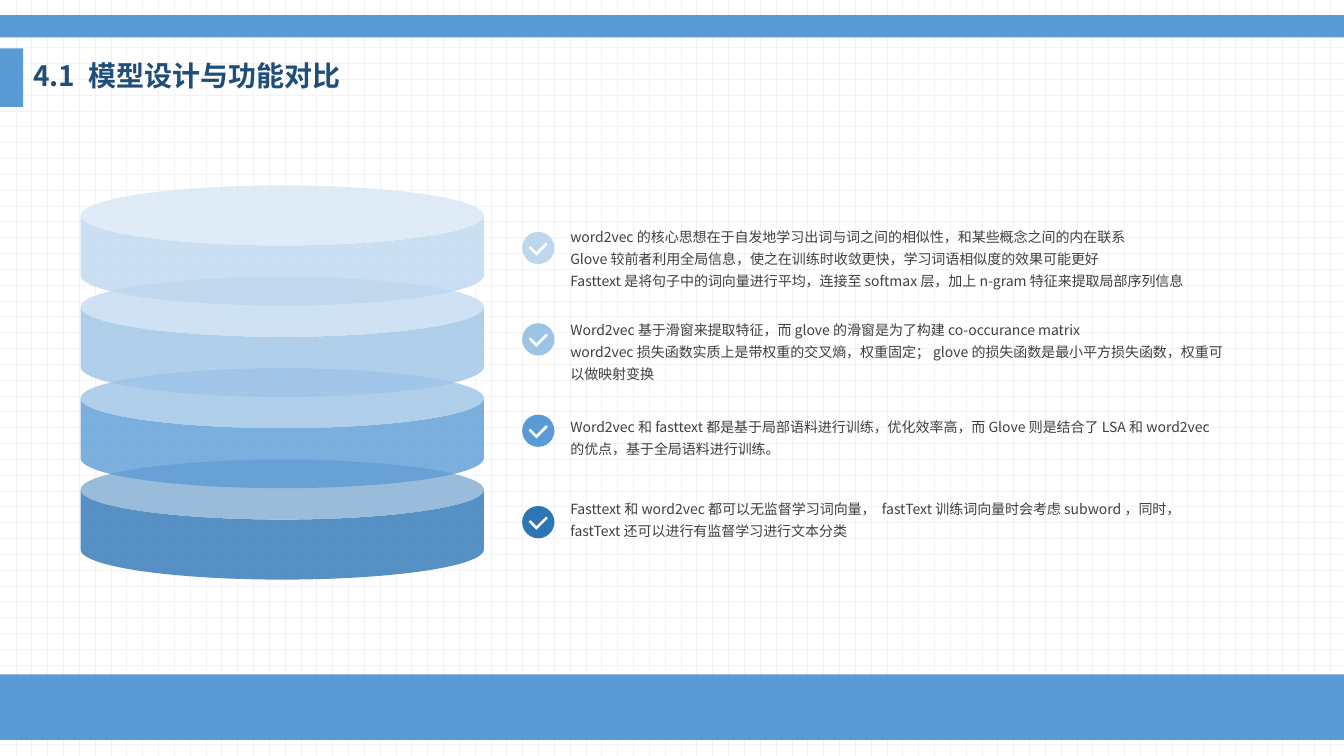
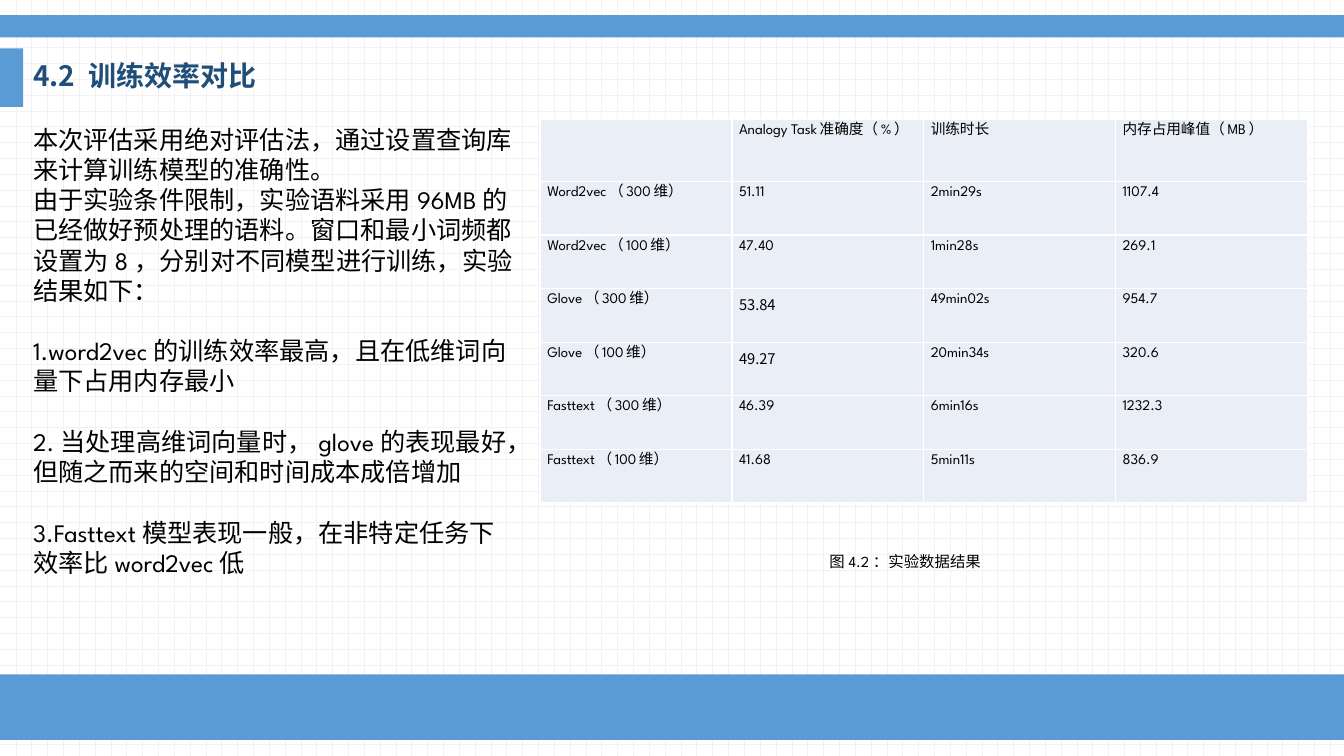
from dataclasses import dataclass
from itertools import product

from lxml import etree
from pptx import Presentation
from pptx.dml.color import RGBColor
from pptx.enum.dml import MSO_PATTERN
from pptx.enum.shapes import MSO_SHAPE
from pptx.enum.text import MSO_ANCHOR, PP_ALIGN
from pptx.oxml.ns import qn
from pptx.util import Emu, Inches, Pt

# Shared look; the grid has square cells of a tenth of an inch
CELL = Inches(0.1)
WIDTH, HEIGHT = 133.33, 75
SANS, SPARTAN = "Noto Sans CJK SC", "League Spartan"
BLUE, NAVY, GREY, BLACK, WHITE = "5B9BD5", "1F4E79", "404040", "000000", "FFFFFF"
PALE, DOTS = "EAEFF7", "F2F2F2"


@dataclass(frozen=True)
class Box:
    col: float
    row: float
    cols: float
    rows: float

    def emu(self) -> list[Emu]:
        return [grid(n) for n in (self.col, self.row, self.cols, self.rows)]


@dataclass(frozen=True)
class Style:
    size: float
    font: str
    color: str
    bold: bool = False
    spacing: float = 1.0
    gap: float = 0
    align: PP_ALIGN = PP_ALIGN.LEFT


@dataclass(frozen=True)
class Layer:
    color: str
    text_row: float
    lines: tuple[str, ...]


BANDS = (Box(0, 66.9, WIDTH, 6.5), Box(0, 1.5, WIDTH, 2.2), Box(0, 4.8, 2.3, 5.8))
TITLE = Style(20, SANS, NAVY, bold=True, spacing=0.9)
NOTE = Style(10, SANS, GREY, spacing=1.3)
BODY = Style(18, SPARTAN, BLACK)
CAPTION = Style(11, SPARTAN, BLACK)
TABLE = Style(10.5, SPARTAN, BLACK, align=PP_ALIGN.JUSTIFY)
TABLE_SANS = Style(10.5, SANS, BLACK, align=PP_ALIGN.JUSTIFY)

LAYERS = (
    Layer("BDD7EE", 21.7, (
        "word2vec的核心思想在于自发地学习出词与词之间的相似性，和某些概念之间的内在联系",
        "Glove较前者利用全局信息，使之在训练时收敛更快，学习词语相似度的效果可能更好",
        "Fasttext是将句子中的词向量进行平均，连接至softmax层，加上n-gram特征来提取局部序列信息")),
    Layer("9DC3E6", 30.9, (
        "Word2vec基于滑窗来提取特征，而glove的滑窗是为了构建co-occurance matrix",
        "word2vec损失函数实质上是带权重的交叉熵，权重固定；glove的损失函数是最小平方损失函数，权重可以做映射变换")),
    Layer(BLUE, 40.5, (
        "Word2vec和fasttext都是基于局部语料进行训练，优化效率高，而Glove则是结合了LSA和word2vec的优点，基于全局语料进行训练。",)),
    Layer("2E75B6", 48.7, (
        "Fasttext和word2vec都可以无监督学习词向量， fastText训练词向量时会考虑subword，同时，fastText还可以进行有监督学习进行文本分类",)),
)

INTRO = (
    "本次评估采用绝对评估法，通过设置查询库来计算训练模型的准确性。",
    "由于实验条件限制，实验语料采用96MB的已经做好预处理的语料。窗口和最小词频都设置为8，分别对不同模型进行训练，实验结果如下：",
)
FINDINGS = (
    "1.word2vec的训练效率最高，且在低维词向量下占用内存最小",
    "2.当处理高维词向量时，glove的表现最好，但随之而来的空间和时间成本成倍增加",
    "3.Fasttext模型表现一般，在非特定任务下效率比word2vec低",
)
RESULTS = (
    ("", "Analogy Task准确度（%）", "训练时长", "内存占用峰值（MB）"),
    ("Word2vec（300维）", "51.11", "2min29s", "1107.4"),
    ("Word2vec（100维）", "47.40", "1min28s", "269.1"),
    ("Glove（300维）", "53.84", "49min02s", "954.7"),
    ("Glove（100维）", "49.27", "20min34s", "320.6"),
    ("Fasttext（300维）", "46.39", "6min16s", "1232.3"),
    ("Fasttext（100维）", "41.68", "5min11s", "836.9"),
)
SANS_CELLS = {"53.84", "49.27"}


def grid(n: float) -> Emu:
    return Emu(round(n * CELL))


def rgb(color: str) -> RGBColor:
    return RGBColor.from_string(color)


def add_shape(shapes, kind: MSO_SHAPE, box: Box, color: str, alpha: int = 100):
    sp = shapes.add_shape(kind, *box.emu())
    sp.shadow.inherit = False
    sp.fill.solid()
    sp.fill.fore_color.rgb = rgb(color)
    sp.line.fill.background()
    if alpha < 100:
        clr = sp.fill._xPr.find(f"{qn('a:solidFill')}/{qn('a:srgbClr')}")
        etree.SubElement(clr, qn("a:alpha"), val=str(alpha * 1000))
    return sp


def write(p, text: str, style: Style) -> None:
    p.alignment = style.align
    p.line_spacing = style.spacing
    if style.gap:
        p.space_before = Pt(style.gap)
    r = p.add_run()
    r.text = text
    r.font.size, r.font.bold, r.font.name = Pt(style.size), style.bold, style.font
    r.font.color.rgb = rgb(style.color)
    # East Asian glyphs follow the same font name
    etree.SubElement(r.font._element, qn("a:ea"), typeface=style.font)


def add_text(slide, box: Box, paragraphs: list[tuple[str, Style]],
             anchor: MSO_ANCHOR = MSO_ANCHOR.TOP) -> None:
    tf = slide.shapes.add_textbox(*box.emu()).text_frame
    tf.word_wrap = True
    tf.vertical_anchor = anchor
    for i, (text, style) in enumerate(paragraphs):
        write(tf.add_paragraph() if i else tf.paragraphs[0], text, style)


def add_slide(prs, title: str):
    slide = prs.slides.add_slide(prs.slide_layouts[6])
    fill = slide.background.fill
    fill.patterned()
    fill.pattern = MSO_PATTERN.DOTTED_GRID
    fill.fore_color.rgb, fill.back_color.rgb = rgb(DOTS), rgb(WHITE)
    for band in BANDS:
        add_shape(slide.shapes, MSO_SHAPE.RECTANGLE, band, BLUE)
    add_text(slide, Box(2.3, 4.8, 53.2, 5.8), [(title, TITLE)], MSO_ANCHOR.MIDDLE)
    return slide


def add_check(slide, row: float, color: str) -> None:
    group = slide.shapes.add_group_shape()
    add_shape(group.shapes, MSO_SHAPE.OVAL, Box(51.8, row, 3.2, 3.2), color)
    tick = add_shape(group.shapes, MSO_SHAPE.CORNER, Box(52.6, row + 0.85, 1.6, 1.1), WHITE)
    tick.adjustments[0] = tick.adjustments[1] = 0.23
    tick.rotation = 315


def border_cell(cell, color: str) -> None:
    tc_pr = cell._tc.get_or_add_tcPr()
    for i, side in enumerate(("lnL", "lnR", "lnT", "lnB")):
        ln = etree.Element(qn(f"a:{side}"), w=str(int(Pt(1))))
        solid = etree.SubElement(ln, qn("a:solidFill"))
        etree.SubElement(solid, qn("a:srgbClr"), val=color)
        tc_pr.insert(i, ln)


def add_results(slide, box: Box, header_rows: float) -> None:
    n_rows, n_cols = len(RESULTS), len(RESULTS[0])
    table = slide.shapes.add_table(n_rows, n_cols, *box.emu()).table
    table.first_row = table.horz_banding = False
    for column in table.columns:
        column.width = grid(box.cols / n_cols)
    for i, row in enumerate(table.rows):
        row.height = grid((box.rows - header_rows) / (n_rows - 1) if i else header_rows)
    for i, j in product(range(n_rows), range(n_cols)):
        cell, text = table.cell(i, j), RESULTS[i][j]
        cell.fill.solid()
        cell.fill.fore_color.rgb = rgb(PALE)
        cell.margin_left = cell.margin_right = grid(0.7)
        cell.margin_top = cell.margin_bottom = grid(0.5)
        border_cell(cell, WHITE)
        if text:
            write(cell.text_frame.paragraphs[0], text,
                  TABLE_SANS if text in SANS_CELLS else TABLE)


def build_design(prs) -> None:
    slide = add_slide(prs, "4.1 模型设计与功能对比")
    pitch = 27.2 / (len(LAYERS) - 1)
    # Stacked discs, lowest first
    for i, layer in reversed(list(enumerate(LAYERS))):
        can = add_shape(slide.shapes, MSO_SHAPE.CAN,
                        Box(8, 18.4 + i * pitch, 40, 11.9), layer.color, alpha=80)
        can.adjustments[0] = 0.5
    # Checked notes
    for i, layer in enumerate(LAYERS):
        add_text(slide, Box(55.6, layer.text_row, 66.7, 7.4),
                 [(line, NOTE) for line in layer.lines])
        add_check(slide, 23 + i * pitch, layer.color)


def build_efficiency(prs) -> None:
    slide = add_slide(prs, "4.2 训练效率对比")
    spaced = Style(BODY.size, BODY.font, BODY.color, gap=21.6)
    add_text(slide, Box(2.3, 11.8, 49.7, 46.4),
             [(t, BODY) for t in INTRO] + [(t, spaced) for t in FINDINGS])
    add_results(slide, Box(53.6, 11.8, 76.1, 38.1), header_rows=6.2)
    add_text(slide, Box(81.3, 54.3, 31.7, 2.9), [("图4.2：实验数据结果", CAPTION)])


def main() -> None:
    prs = Presentation()
    prs.slide_width, prs.slide_height = grid(WIDTH), grid(HEIGHT)
    build_design(prs)
    build_efficiency(prs)
    prs.save("out.pptx")


if __name__ == "__main__":
    main()
